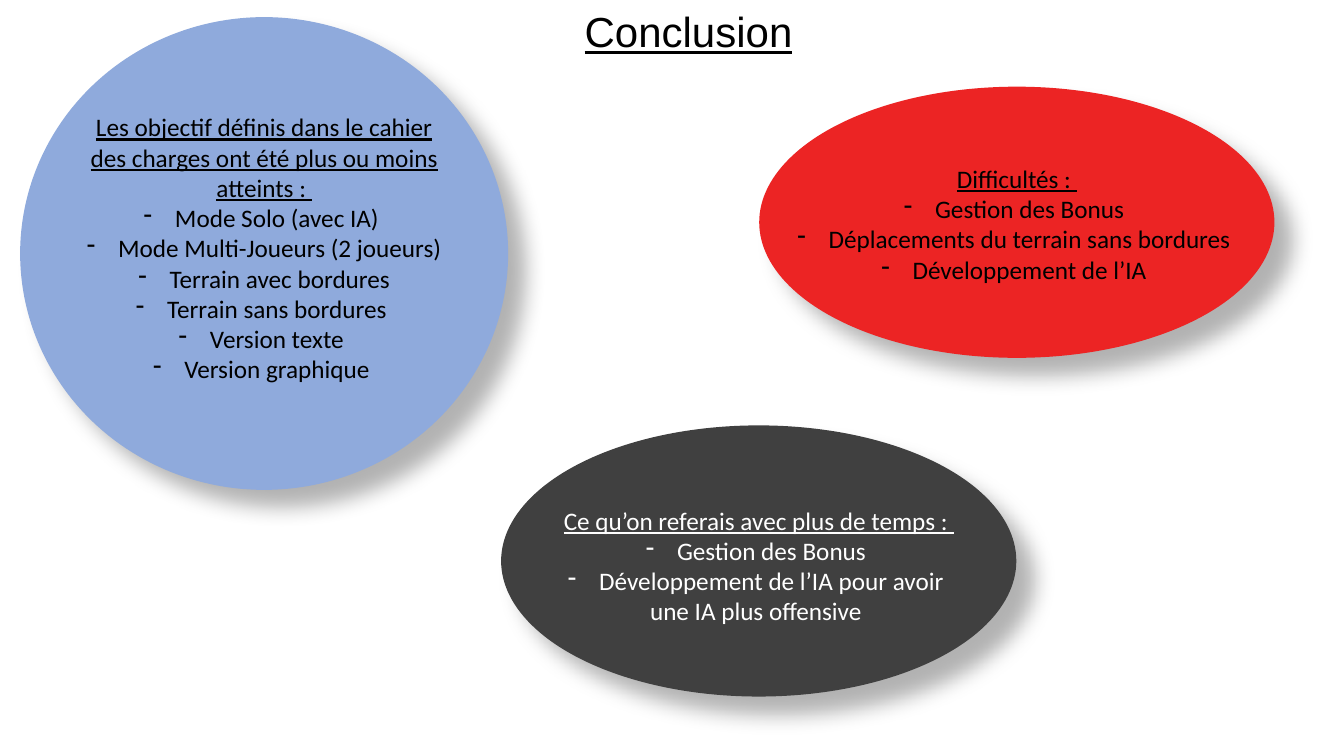
from lxml import etree
from pptx import Presentation
from pptx.dml.color import RGBColor
from pptx.enum import shapes, text
from pptx.oxml import ns
from pptx.util import Inches, Pt

BLACK, WHITE = "000000", "FFFFFF"
BULLET_INDENT = Inches(0.31)


def colour(hex_code):
    return RGBColor.from_string(hex_code)


def add_child(parent, tag, **attributes):
    values = {key: str(value) for key, value in attributes.items()}
    return etree.SubElement(parent, ns.qn(tag), values)


def add_soft_shadow(shape):
    """Cast a blurred shadow towards the lower right."""
    shape.shadow.inherit = False
    effects = shape._element.spPr.find(ns.qn("a:effectLst"))
    shadow = add_child(effects, "a:outerShdw", blurRad=Pt(15), dist=Pt(18),
                       dir=45 * 60000, algn="tl", rotWithShape=0)
    tint = add_child(shadow, "a:srgbClr", val=BLACK)
    add_child(tint, "a:alpha", val=30000)


def add_bubble(slide, box, fill):
    bubble = slide.shapes.add_shape(shapes.MSO_SHAPE.OVAL, *map(Inches, box))
    bubble.fill.solid()
    bubble.fill.fore_color.rgb = colour(fill)
    bubble.line.fill.background()
    add_soft_shadow(bubble)


def add_text_frame(slide, box):
    frame = slide.shapes.add_textbox(*map(Inches, box)).text_frame
    frame.word_wrap = True
    frame.auto_size = text.MSO_AUTO_SIZE.SHAPE_TO_FIT_TEXT
    return frame


def add_run(paragraph, words, size, font, ink, underline=False):
    run = paragraph.add_run()
    run.text = words
    run.font.size = Pt(size)
    run.font.name = font
    run.font.color.rgb = colour(ink)
    run.font.underline = underline


def add_dash(paragraph):
    properties = paragraph._p.get_or_add_pPr()
    properties.set("marL", str(BULLET_INDENT))
    properties.set("indent", str(-BULLET_INDENT))
    add_child(properties, "a:buFontTx")
    add_child(properties, "a:buChar", char="-")


def add_topic(slide, box, ink, heading, points, closing=None):
    """Write an underlined heading, dashed points and an optional plain line."""
    frame = add_text_frame(slide, box)
    lines = [heading, *points] + ([closing] if closing else [])
    for number, words in enumerate(lines):
        paragraph = frame.add_paragraph() if number else frame.paragraphs[0]
        paragraph.alignment = text.PP_ALIGN.CENTER
        if 1 <= number <= len(points):
            add_dash(paragraph)
        add_run(paragraph, words, 18, "Calibri", ink, underline=number == 0)


def main():
    deck = Presentation()
    deck.slide_width, deck.slide_height = Inches(13.33), Inches(7.5)
    slide = deck.slides.add_slide(deck.slide_layouts[6])

    title = add_text_frame(slide, (5.7, 0.01, 5.72, 0.61))
    add_run(title.paragraphs[0], "Conclusion", 30, "Arial", BLACK, underline=True)

    add_bubble(slide, (0.2, 0.17, 4.84, 4.69), "8FAADC")
    add_topic(slide, (0.74, 1.06, 3.76, 2.83), BLACK,
              "Les objectif définis dans le cahier des charges ont été "
              "plus ou moins atteints : ",
              ["Mode Solo (avec IA) ", "Mode Multi-Joueurs (2 joueurs) ",
               "Terrain avec bordures", "Terrain sans bordures ",
               "Version texte ", "Version graphique "])

    add_bubble(slide, (7.53, 0.86, 5.11, 2.69), "EC2424")
    add_topic(slide, (7.46, 1.57, 5.25, 1.31), BLACK, "Difficultés : ",
              ["Gestion des Bonus ", "Déplacements du terrain sans bordures ",
               "Développement de l’IA "])

    add_bubble(slide, (4.97, 4.22, 5.11, 2.69), "404040")
    add_topic(slide, (3.35, 4.96, 8.35, 1.31), WHITE,
              "Ce qu’on referais avec plus de temps : ",
              ["Gestion des Bonus ", "Développement de l’IA pour avoir "],
              closing="une IA plus offensive ")

    deck.save("out.pptx")


if __name__ == "__main__":
    main()
